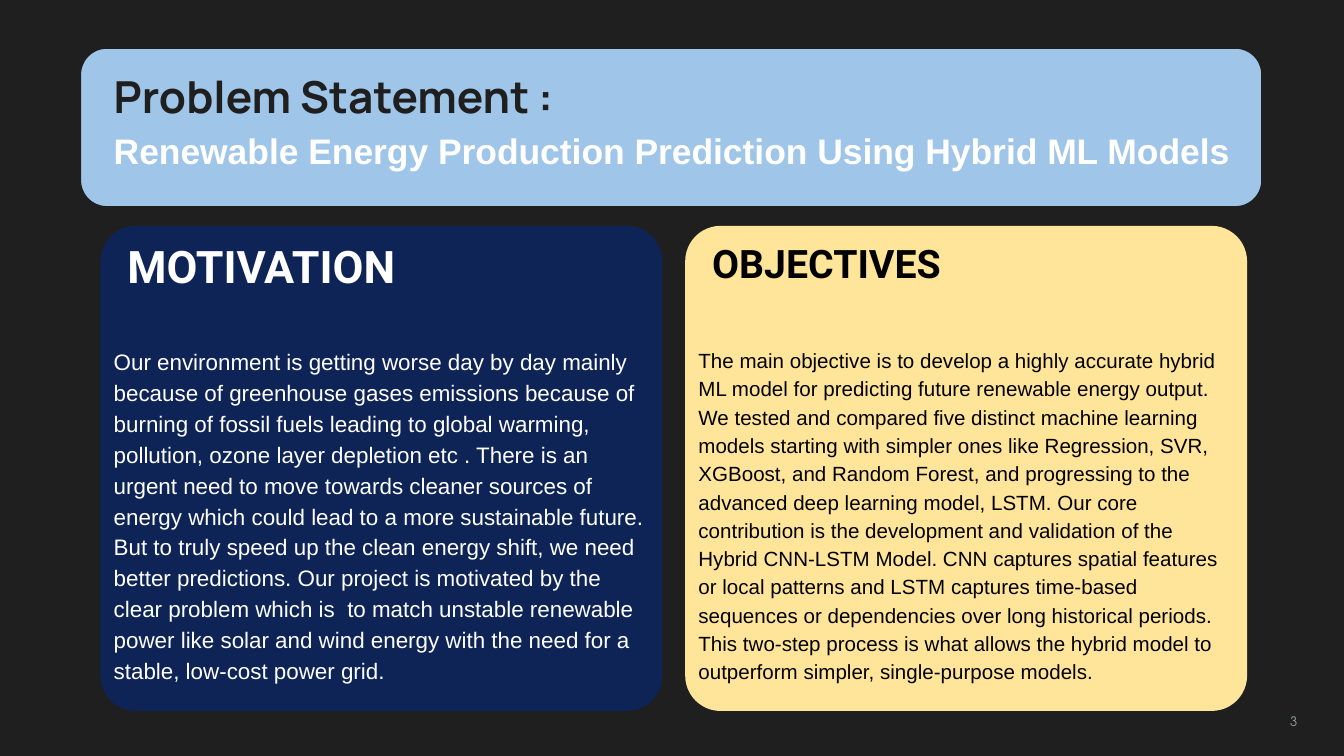
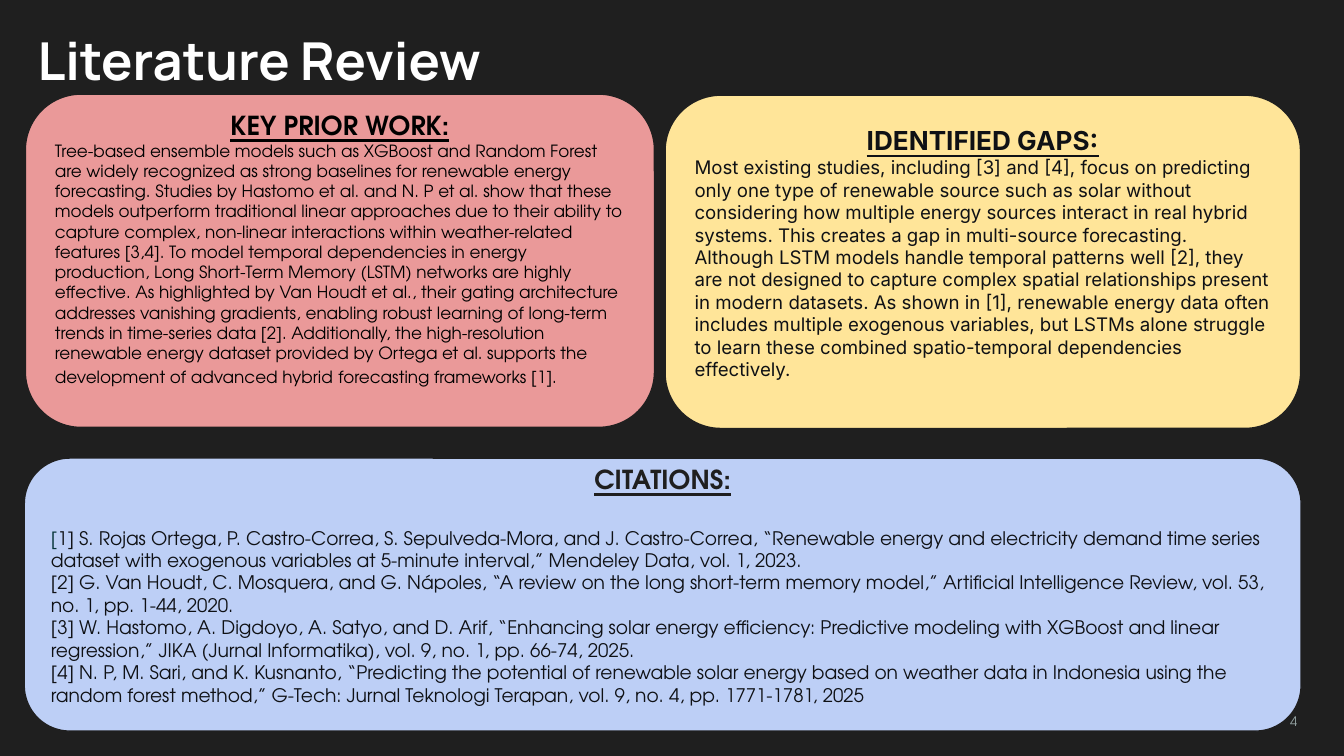
from dataclasses import dataclass
from typing import Optional

from pptx import Presentation
from pptx.dml.color import RGBColor
from pptx.enum.shapes import MSO_SHAPE
from pptx.enum.text import MSO_ANCHOR, PP_ALIGN
from pptx.util import Cm, Pt

ROUND = MSO_SHAPE.ROUNDED_RECTANGLE
TOP, MIDDLE, BOTTOM = MSO_ANCHOR.TOP, MSO_ANCHOR.MIDDLE, MSO_ANCHOR.BOTTOM
LEFT, CENTER, RIGHT = PP_ALIGN.LEFT, PP_ALIGN.CENTER, PP_ALIGN.RIGHT

# Shared colours, fonts and insets
DARK, WHITE, BLACK, INK = "1F1F1F", "FFFFFF", "000000", "0F1115"
NAVY, CREAM, SKY = "0E2457", "FFE599", "9FC5E8"
ROSE, PALE, GREY, TEAL = "EA9999", "BDCFF6", "93A2A2", "07363B"
SANS, HEAD, CARD, GEO, INTER = "Arial", "Manrope", "Roboto", "TeX Gyre Adventor", "Inter"
PAD, WIDE = 0.25, 0.51
INSETS = (PAD, PAD, PAD, PAD)


@dataclass(frozen=True)
class Area:
    left: float
    top: float
    width: float
    height: float

    def cm(self) -> tuple:
        return Cm(self.left), Cm(self.top), Cm(self.width), Cm(self.height)


@dataclass(frozen=True)
class Style:
    font: str
    size: float
    color: str
    bold: bool = False
    under: bool = False


@dataclass(frozen=True)
class Para:
    runs: tuple  # (text, Style) pairs
    align: PP_ALIGN = LEFT
    lines: float = 1.0
    after: float = 0


@dataclass(frozen=True)
class Topic:
    """Card of the first slide: heading above a body text."""
    left: float
    fill: str
    color: str
    head: str
    big: float
    body: str
    small: float


@dataclass(frozen=True)
class Panel:
    """Rounded panel of the second slide, holding its own text."""
    area: Area
    fill: str
    paras: tuple
    anchor: MSO_ANCHOR = MIDDLE
    insets: tuple = INSETS


def rgb(code: str) -> RGBColor:
    return RGBColor.from_string(code)


def line(text: str, style: Style, **rest) -> Para:
    return Para(((text, style),), **rest)


def heading(text: str, font: str, color: str, after: float = 0) -> Para:
    return line(text, Style(font, 14, color, True, True), align=CENTER, after=after)


def write(shape, paras: tuple, anchor: MSO_ANCHOR = TOP, insets: tuple = INSETS) -> None:
    frame = shape.text_frame
    left, top, right, bottom = map(Cm, insets)
    form = {"word_wrap": True, "vertical_anchor": anchor, "margin_left": left,
            "margin_top": top, "margin_right": right, "margin_bottom": bottom}
    for key, value in form.items():
        setattr(frame, key, value)
    for index, para in enumerate(paras):
        item = frame.paragraphs[0] if index == 0 else frame.add_paragraph()
        form = {"alignment": para.align, "line_spacing": para.lines,
                "space_after": Pt(para.after)}
        for key, value in form.items():
            setattr(item, key, value)
        for text, style in para.runs:
            run = item.add_run()
            run.text = text
            form = {"name": style.font, "size": Pt(style.size),
                    "bold": style.bold, "underline": style.under}
            for key, value in form.items():
                setattr(run.font, key, value)
            run.font.color.rgb = rgb(style.color)


def label(slide, area: Area, *paras: Para, **rest) -> None:
    write(slide.shapes.add_textbox(*area.cm()), paras, **rest)


def block(slide, area: Area, fill: str, curve: float = 0.167, edge: Optional[str] = DARK):
    shape = slide.shapes.add_shape(ROUND, *area.cm())
    shape.adjustments[0] = curve
    shape.shadow.inherit = False
    shape.fill.solid()
    shape.fill.fore_color.rgb = rgb(fill)
    if edge:
        shape.line.color.rgb = rgb(edge)
        shape.line.width = Pt(0.75)
    else:
        shape.line.fill.background()
    return shape


def page(deck, number: int):
    """Dark slide with its number at the lower right."""
    slide = deck.slides.add_slide(deck.slide_layouts[6])
    slide.background.fill.solid()
    slide.background.fill.fore_color.rgb = rgb(DARK)
    label(slide, Area(18.67, 13.34, 6.1, 0.81),
          line(str(number), Style(GEO, 7, GREY), align=RIGHT))
    return slide


# Cards of the problem slide
TOPICS = (
    Topic(1.9, NAVY, WHITE, "MOTIVATION", 24,
          "Our environment is getting worse day by day mainly because of greenhouse gases "
          "emissions because of burning of fossil fuels leading to global warming, pollution, "
          "ozone layer depletion etc . There is an urgent need to move towards cleaner sources "
          "of energy which could lead to a more sustainable future. But to truly speed up the "
          "clean energy shift, we need better predictions. Our project is motivated by the "
          "clear problem which is  to match unstable renewable power like solar and wind "
          "energy with the need for a stable, low-cost power grid.", 12),
    Topic(12.95, CREAM, BLACK, "OBJECTIVES", 21,
          "The main objective is to develop a highly accurate hybrid ML model for predicting "
          "future renewable energy output. We tested and compared five distinct machine "
          "learning models starting with simpler ones like Regression, SVR, XGBoost, and "
          "Random Forest, and progressing to the advanced deep learning model, LSTM. Our core "
          "contribution is the development and validation of the Hybrid CNN-LSTM Model. CNN "
          "captures spatial features or local patterns and LSTM captures time-based sequences "
          "or dependencies over long historical periods. This two-step process is what allows "
          "the hybrid model to outperform simpler, single-purpose models.", 11),
)

# Panels of the review slide
PRIOR = Style(GEO, 9, BLACK)
CITE = Style(GEO, 10, INK)
PANELS = (
    Panel(Area(0.48, 1.78, 11.89, 6.3), ROSE, (
        heading("KEY PRIOR WORK:", GEO, BLACK),
        Para((
            ("Tree-based ensemble models such as XGBoost and Random Forest are widely "
             "recognized as strong baselines for renewable energy forecasting. Studies by "
             "Hastomo et al. and N. P et al. show that these models outperform traditional "
             "linear approaches due to their ability to capture complex, non-linear "
             "interactions within weather-related features [3,4]. To model temporal "
             "dependencies in energy production, Long Short-Term Memory (LSTM) networks are "
             "highly effective. As highlighted by Van Houdt et al., their gating architecture "
             "addresses vanishing gradients, enabling robust learning of long-term trends in "
             "time-series data [2]. Additionally, the high-resolution renewable energy dataset "
             "provided by Ortega et al. supports the development of advanced hybrid", PRIOR),
            (" ", Style(GEO, 11, BLACK)),
            ("forecasting frameworks [1].", PRIOR))),
    ), insets=(PAD, PAD, PAD, 0.72)),
    Panel(Area(12.57, 1.8, 12.01, 6.3), CREAM, (
        heading("IDENTIFIED GAPS:", INTER, INK),
        line("Most existing studies, including [3] and [4], focus on predicting only one type "
             "of renewable source such as solar without considering how multiple energy "
             "sources interact in real hybrid systems. This creates a gap in multi-source "
             "forecasting. Although LSTM models handle temporal patterns well [2], they are "
             "not designed to capture complex spatial relationships present in modern "
             "datasets. As shown in [1], renewable energy data often includes multiple "
             "exogenous variables, but LSTMs alone struggle to learn these combined "
             "spatio-temporal dependencies effectively.", Style(INTER, 10, INK)),
    ), anchor=TOP),
    Panel(Area(0.46, 8.66, 24.13, 5.16), PALE, (
        heading("CITATIONS:", GEO, DARK, after=17),
        Para((
            ("[", Style(GEO, 10, TEAL)),
            ("1] S. Rojas Ortega, P. Castro-Correa, S. Sepulveda-Mora, and J. Castro-Correa, "
             "“Renewable energy and electricity demand time series dataset with exogenous "
             "variables at 5-minute interval,” Mendeley Data, vol. 1, 2023.", CITE))),
        line("[2] G. Van Houdt, C. Mosquera, and G. Nápoles, “A review on the long short-term "
             "memory model,” Artificial Intelligence Review, vol. 53, no. 1, pp. 1-44, 2020.",
             CITE),
        line("[3] W. Hastomo, A. Digdoyo, A. Satyo, and D. Arif, “Enhancing solar energy "
             "efficiency: Predictive modeling with XGBoost and linear regression,” JIKA "
             "(Jurnal Informatika), vol. 9, no. 1, pp. 66-74, 2025.", CITE),
        line("[4] N. P, M. Sari, and K. Kusnanto, “Predicting the potential of renewable solar "
             "energy based on weather data in Indonesia using the random forest method,” "
             "G-Tech: Jurnal Teknologi Terapan, vol. 9, no. 4, pp. 1771-1781, 2025", CITE),
    ), insets=(PAD, PAD, PAD, 0.63)),
)


def problem(deck) -> None:
    slide = page(deck, 3)
    # Two cards
    top, width, tall, split = 4.27, 10.62, 9.17, 1.98
    for topic in TOPICS:
        block(slide, Area(topic.left, top, width, tall), topic.fill, 0.073, None)
        label(slide, Area(topic.left, top + split, width, tall - split),
              line(topic.body, Style(SANS, topic.small, topic.color), lines=1.15),
              anchor=BOTTOM, insets=(PAD, PAD, PAD, WIDE))
        label(slide, Area(topic.left, top, width, split),
              line(topic.head, Style(CARD, topic.big, topic.color, True)),
              insets=(WIDE, PAD, WIDE, PAD))
    # Banner
    block(slide, Area(1.52, 0.91, 22.33, 3), SKY)
    label(slide, Area(1.9, 1.07, 22.43, 3),
          line("Problem Statement :", Style(HEAD, 23.6, DARK, True)),
          line("Renewable Energy Production Prediction Using Hybrid ML Models",
               Style(SANS, 19, WHITE, True), lines=1.15))


def review(deck) -> None:
    slide = page(deck, 4)
    label(slide, Area(0.46, 0.28, 23.67, 1.7),
          line("Literature Review", Style(HEAD, 28, WHITE, True)))
    for panel in PANELS:
        shape = block(slide, panel.area, panel.fill)
        write(shape, panel.paras, panel.anchor, panel.insets)


def main() -> None:
    deck = Presentation()
    deck.slide_width, deck.slide_height = Cm(25.4), Cm(14.29)
    problem(deck)
    review(deck)
    deck.save("out.pptx")


if __name__ == "__main__":
    main()
